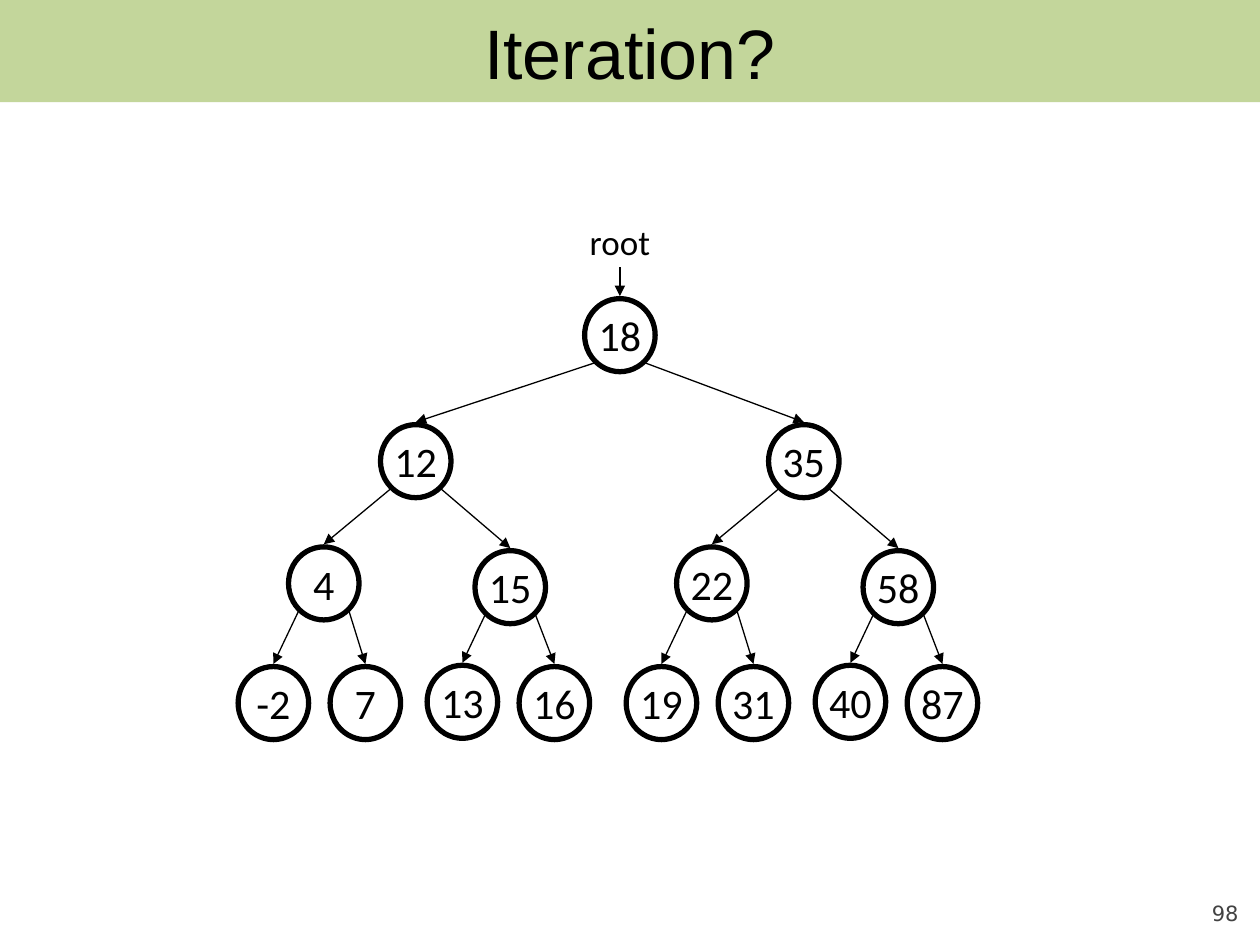
from lxml import etree
from pptx import Presentation
from pptx.dml.color import RGBColor
from pptx.enum import shapes, text
from pptx.oxml.ns import qn
from pptx.util import Inches, Pt

NODE_W, NODE_H = 0.56, 0.58
ROOT = ("18", 4.64, 2.37)
BRANCHES = [
    (3.02, ["12", "4", "-2", "7", "15", "13", "16"]),
    (6.10, ["35", "22", "19", "31", "58", "40", "87"]),
]
OFFSETS = [(0, 3.37), (-0.73, 4.34), (-1.13, 5.29), (-0.4, 5.29),
           (0.75, 4.37), (0.37, 5.28), (1.1, 5.29)]
CHILDREN = {0: (1, 4), 1: (2, 3), 4: (5, 6)}


def color(value):
    """Turn a hex string into a colour."""
    return RGBColor.from_string(value)


def write(sp, value, size, font="Calibri", fill="000000", wrap=False,
          align=text.PP_ALIGN.CENTER, anchor=text.MSO_ANCHOR.MIDDLE,
          margin=None, before=None):
    """Put one formatted paragraph in a shape."""
    tf = sp.text_frame
    tf.auto_size = text.MSO_AUTO_SIZE.NONE
    tf.word_wrap = wrap
    tf.vertical_anchor = anchor
    if margin is not None:
        tf.margin_left = tf.margin_right = Inches(margin)
        tf.margin_top = tf.margin_bottom = Inches(margin)
    p = tf.paragraphs[0]
    p.alignment = align
    p.space_before = before
    r = p.add_run()
    r.text = value
    r.font.size = Pt(size)
    r.font.name = font
    r.font.color.rgb = color(fill)


def add_box(s, value, x, y, w, h, size, **fmt):
    """Add a text box."""
    sp = s.shapes.add_textbox(Inches(x), Inches(y), Inches(w), Inches(h))
    write(sp, value, size, **fmt)


def add_arrow(s, x1, y1, x2, y2):
    """Add a thin black arrow."""
    c = s.shapes.add_connector(shapes.MSO_CONNECTOR.STRAIGHT, Inches(x1),
                               Inches(y1), Inches(x2), Inches(y2))
    c.line.color.rgb = color("000000")
    c.line.width = Pt(0.75)
    etree.SubElement(c.line._get_or_add_ln(), qn("a:tailEnd"), type="triangle")
    etree.SubElement(c._element.spPr, qn("a:effectLst"))


def add_node(s, value, x, y):
    """Add a circled tree node."""
    sp = s.shapes.add_shape(shapes.MSO_SHAPE.OVAL, Inches(x), Inches(y),
                            Inches(NODE_W), Inches(NODE_H))
    sp.shadow.inherit = False
    sp.fill.solid()
    sp.fill.fore_color.rgb = color("FFFFFF")
    sp.line.color.rgb = color("000000")
    sp.line.width = Pt(3)
    write(sp, value, 24)


def add_links(s, parent, left, right):
    """Join a parent position to its two child positions."""
    x, y = parent
    for dx, child in ((0.08, left), (0.48, right)):
        add_arrow(s, x + dx, y + 0.51, child[0] + NODE_W / 2, child[1] - 0.02)


def add_branch(s, x, values):
    """Add a three-level subtree."""
    spots = [(x + dx, y) for dx, y in OFFSETS]
    for value, spot in zip(values, spots):
        add_node(s, value, *spot)
    for parent, (left, right) in CHILDREN.items():
        add_links(s, spots[parent], spots[left], spots[right])


def add_title(s, value):
    """Fill the title placeholder and lay a band behind it."""
    band = s.shapes.add_shape(shapes.MSO_SHAPE.ROUNDED_RECTANGLE, 0, 0,
                              Inches(10), Inches(0.81))
    band.adjustments[0] = 0
    band.shadow.inherit = False
    band.line.fill.background()
    title = s.shapes.title
    title.left, title.top = Inches(0), Inches(0)
    title.width, title.height = Inches(10), Inches(0.81)
    for sp in (band, title):
        sp.fill.solid()
        sp.fill.fore_color.rgb = color("C3D69B")
    rgb = title._element.spPr.find(".//" + qn("a:srgbClr"))
    etree.SubElement(rgb, qn("a:alpha"), val="80000")
    title._element.addprevious(band._element)
    write(title, value, 40, font="Arial", wrap=True)


def main():
    """Build the slide."""
    prs = Presentation()
    prs.slide_width, prs.slide_height = Inches(10), Inches(7.5)
    s = prs.slides.add_slide(prs.slide_layouts[5])
    add_title(s, "Iteration?")
    add_box(s, "98", 9, 6.95, 0.83, 0.4, 12, font="DejaVu Sans",
            fill="424242", wrap=True, align=text.PP_ALIGN.RIGHT,
            anchor=text.MSO_ANCHOR.BOTTOM, margin=0)
    add_box(s, "root", 4.58, 1.7, 0.68, 0.43, 20, anchor=text.MSO_ANCHOR.TOP)
    add_arrow(s, 4.92, 2.12, 4.92, 2.35)
    add_node(s, *ROOT)
    for x, values in BRANCHES:
        add_branch(s, x, values)
    add_links(s, ROOT[1:], *[(x, OFFSETS[0][1]) for x, _ in BRANCHES])
    prs.save("out.pptx")


if __name__ == "__main__":
    main()
